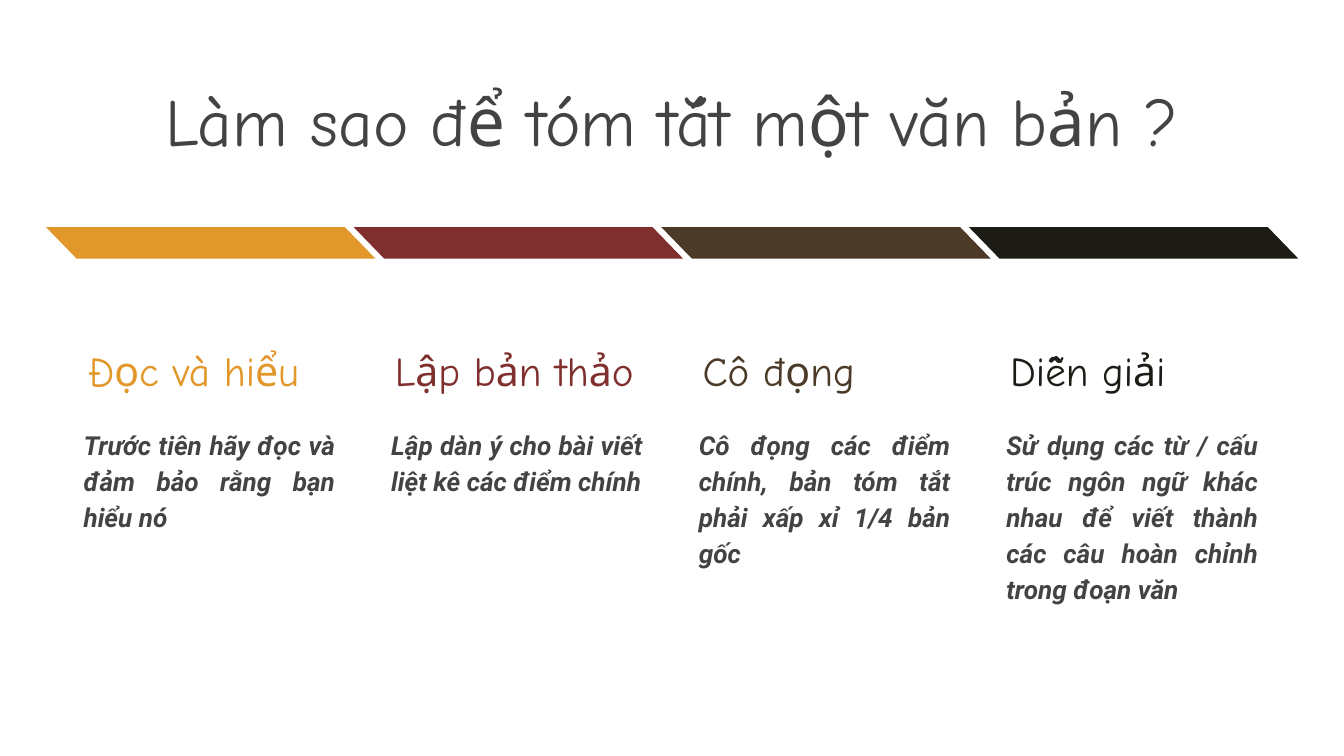
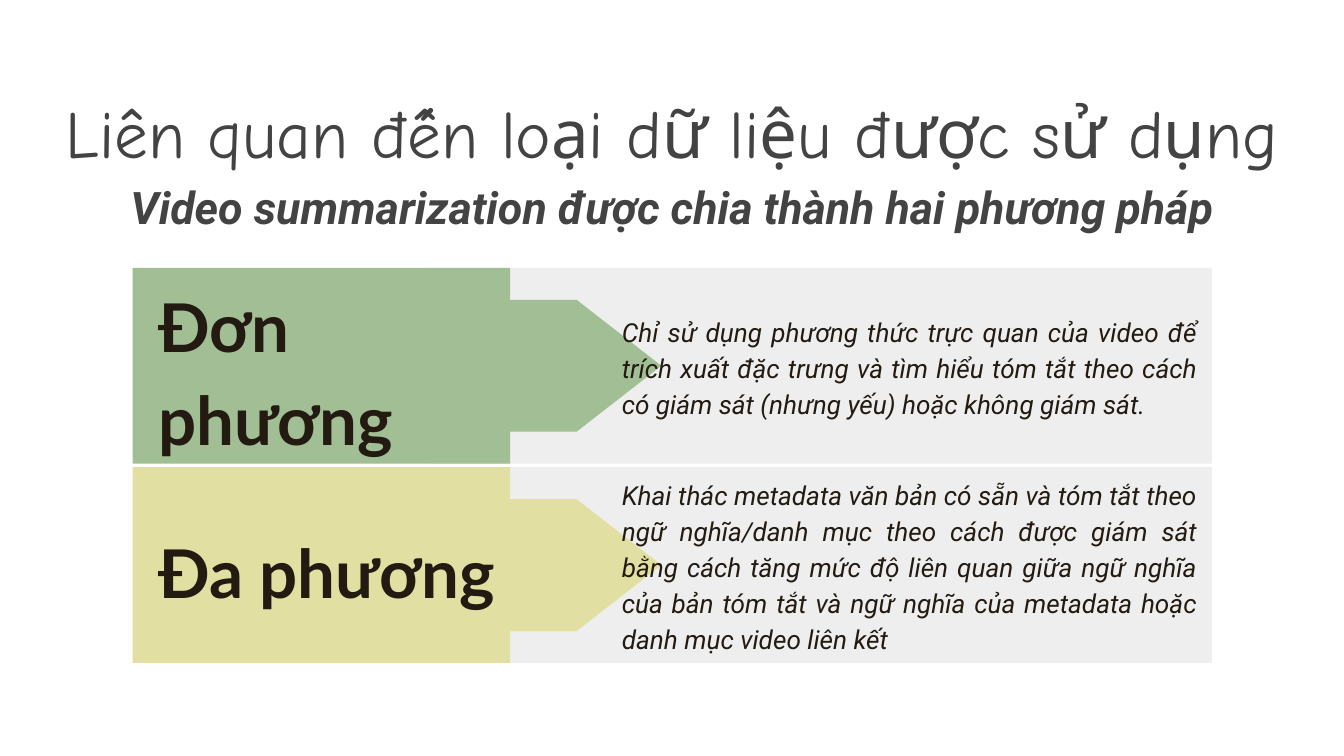
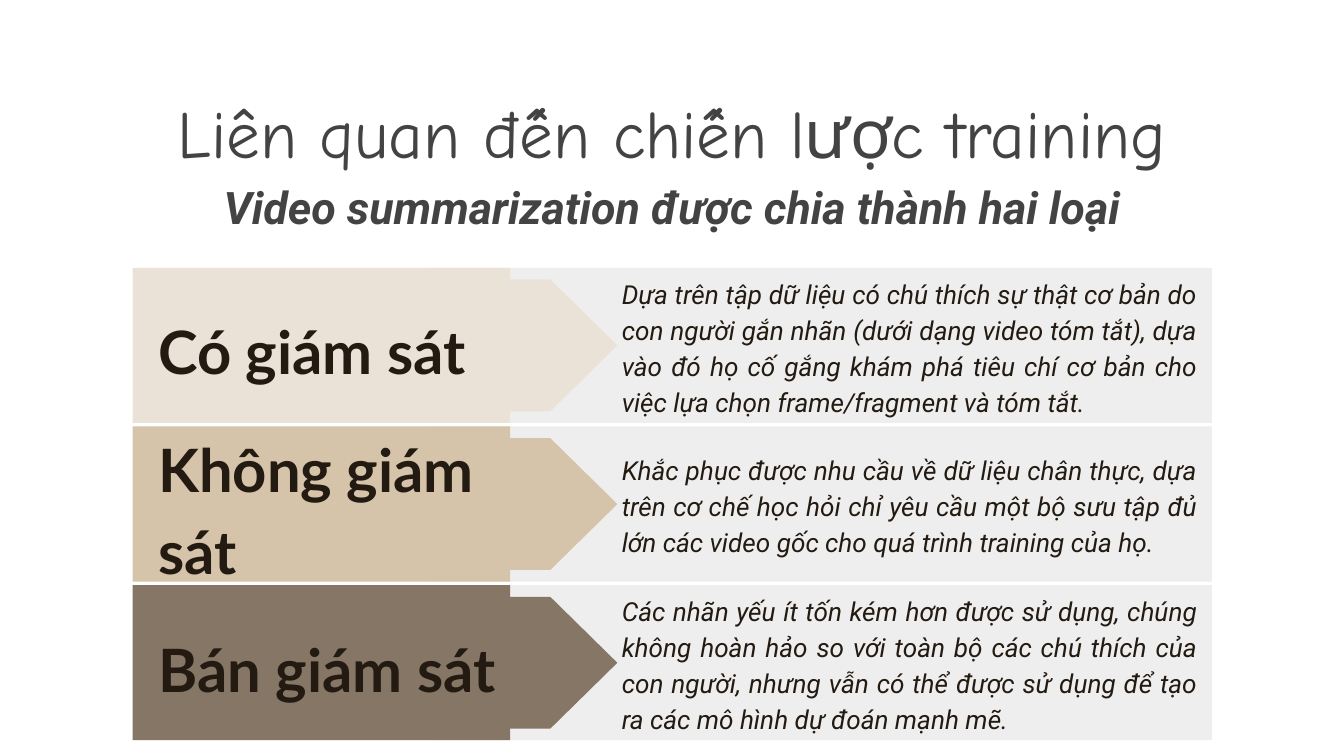
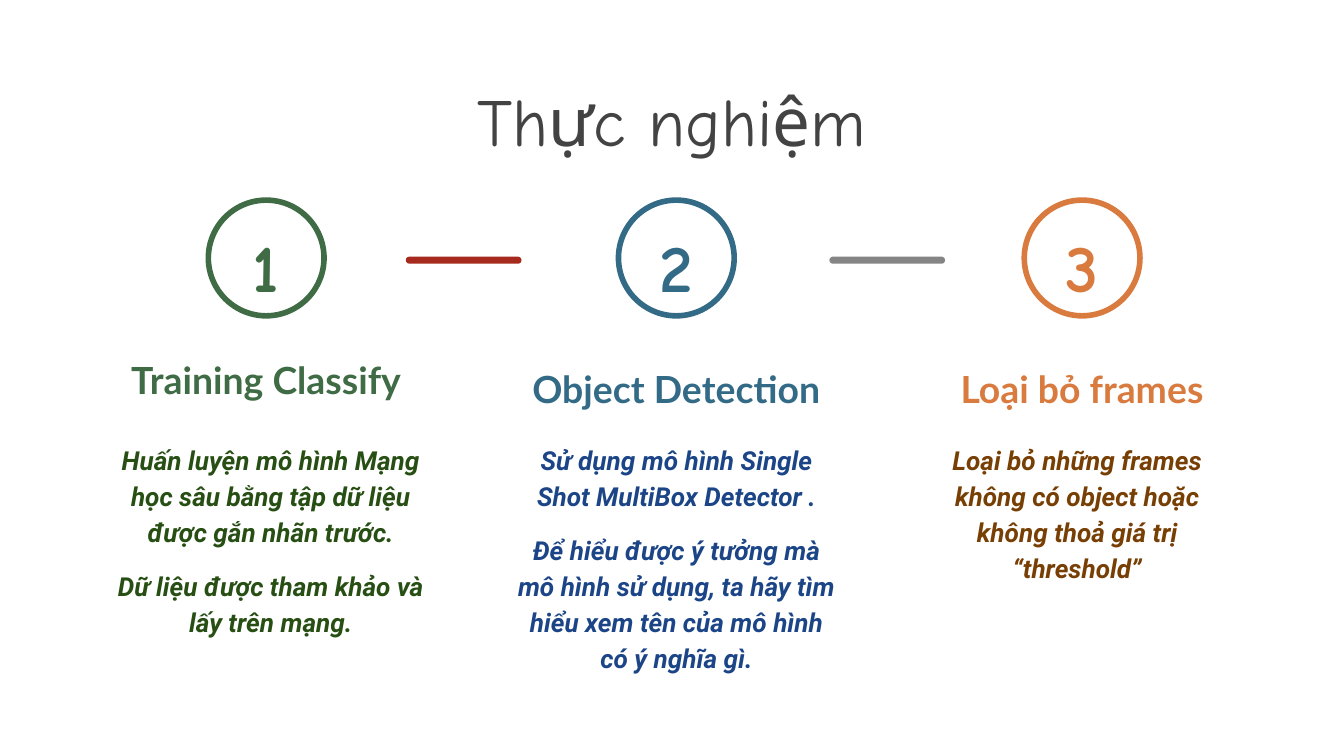
from pptx import Presentation
from pptx.dml.color import RGBColor
from pptx.enum import shapes, text
from pptx.util import Pt

COLORS = {
    "paper": "FFFFFF", "title": "434343", "ink": "231B12", "panel": "EEEEEE",
    "amber": "E2972A", "wine": "7F2F2E", "brown": "4B3A27", "black": "1D1B16",
    "sage": "A1BE95", "straw": "E2DFA2",
    "cream": "EAE2D6", "sand": "D5C3AA", "taupe": "867666",
    "green": "3F6C45", "blue": "336B87", "orange": "D97B3F",
    "dark green": "274E13", "dark blue": "1C4587", "dark orange": "783F04",
    "red": "A72A1E", "gray": "858585",
}
DISPLAY, LABEL, BODY = "Comic Neue", "Lato", "Roboto"
SHAPE, ALIGN, ANCHOR = shapes.MSO_SHAPE, text.PP_ALIGN, text.MSO_ANCHOR
TITLE_BOX = (24.5, 35.3, 671, 45.4)
LINE_SPACING = 1.15


def rgb(color):
    return RGBColor.from_string(COLORS[color])


# Shared building blocks
def add_figure(slide, kind, box, fill=None, line=None):
    figure = slide.shapes.add_shape(kind, *map(Pt, box))
    figure.shadow.inherit = False
    if fill:
        figure.fill.solid()
        figure.fill.fore_color.rgb = rgb(fill)
    else:
        figure.fill.background()
    if line:
        figure.line.color.rgb = rgb(line)
        figure.line.width = Pt(3)
    else:
        figure.line.fill.background()
    return figure


def style(wording, font, size, color, bold=False, italic=False):
    return wording, font, size, color, bold, italic


def add_text(slide, box, lines, align=ALIGN.LEFT, anchor=ANCHOR.TOP,
             spacing=LINE_SPACING, before=0, after=0, indent=0):
    """Write one styled run per paragraph; 'before' applies from the second one on."""
    frame = slide.shapes.add_textbox(*map(Pt, box)).text_frame
    frame.word_wrap = True
    frame.vertical_anchor = anchor
    frame.margin_left = frame.margin_right = Pt(7.2)
    frame.margin_top = frame.margin_bottom = Pt(7.2)
    for index, (wording, font, size, color, bold, italic) in enumerate(lines):
        paragraph = frame.add_paragraph() if index else frame.paragraphs[0]
        paragraph.alignment = align
        paragraph.line_spacing = spacing
        paragraph.space_before = Pt(before if index else 0)
        paragraph.space_after = Pt(after)
        if indent:
            paragraph._p.get_or_add_pPr().set("marL", str(Pt(indent)))
        run = paragraph.add_run()
        run.text = wording
        run.font.name, run.font.size = font, Pt(size)
        run.font.bold, run.font.italic = bold, italic
        run.font.color.rgb = rgb(color)


def new_slide(deck, title, subtitle=None):
    slide = deck.slides.add_slide(deck.slide_layouts[6])
    slide.background.fill.solid()
    slide.background.fill.fore_color.rgb = rgb("paper")
    lines = [style(title, DISPLAY, 36, "title")]
    if subtitle:
        lines.append(style(subtitle, BODY, 24, "title", True, True))
    add_text(slide, TITLE_BOX, lines, ALIGN.CENTER,
             spacing=LINE_SPACING if subtitle else 1.0)
    return slide


# Slide 1: four columns under a slanted band
def add_column(slide, left, top, color, heading, body):
    band = add_figure(slide, SHAPE.PARALLELOGRAM, (left, top, 176.4, 16.8), color)
    band.adjustments[0] = 0.97
    band._element.spPr.get_or_add_xfrm().set("flipH", "1")
    add_text(slide, (left + 15, top + 45.4, 144.7, 51.8),
             [style(heading, DISPLAY, 22, color)], anchor=ANCHOR.BOTTOM)
    add_text(slide, (left + 13, top + 98.6, 149, 86.4),
             [style(body, BODY, 14, "title", True, True)], ALIGN.JUSTIFY, after=16)


def build_summary_steps(deck):
    slide = new_slide(deck, "Làm sao để tóm tắt một văn bản ?")
    columns = [
        ("amber", "Đọc và hiểu", "Trước tiên hãy đọc và đảm bảo rằng bạn hiểu nó"),
        ("wine", "Lập bản thảo", "Lập dàn ý cho bài viết liệt kê các điểm chính"),
        ("brown", "Cô đọng",
         "Cô đọng các điểm chính, bản tóm tắt phải xấp xỉ 1/4 bản gốc"),
        ("black", "Diễn giải",
         "Sử dụng các từ / cấu trúc ngôn ngữ khác nhau để viết thành "
         "các câu hoàn chỉnh trong đoạn văn"),
    ]
    for index, column in enumerate(columns):
        add_column(slide, 24.7 + 164.8 * index, 121.7, *column)


# Slides 2 and 3: rows with a label, an arrow and an explanation
def add_method_row(slide, box, label_size, color, label, body):
    left, top, width, height = box
    middle = top + height / 2
    add_figure(slide, SHAPE.RECTANGLE, (left + 158.4, top, width - 158.4, height), "panel")
    add_figure(slide, SHAPE.RECTANGLE, (left, top, 202.3, height), color)
    breadth, reach = 70.6, 2.16 * height
    arrow = add_figure(slide, SHAPE.FLOWCHART_OFFPAGE_CONNECTOR,
                       (left + 170 - breadth / 2, middle - reach / 2, breadth, reach), color)
    arrow.rotation = 270
    label_height = 0.77 * height
    add_text(slide, (left + 6.7, middle - label_height / 2, 213, label_height),
             [style(label, LABEL, label_size, "ink", True)], anchor=ANCHOR.MIDDLE)
    add_text(slide, (left + 219, top, 358.6, height),
             [style(body, BODY, 14, "ink", italic=True)],
             ALIGN.JUSTIFY, ANCHOR.MIDDLE, indent=36)


def build_methods(deck, title, subtitle, row_height, label_size, rows):
    slide = new_slide(deck, title, subtitle)
    gap = 1.9
    for index, row in enumerate(rows):
        top = 143.5 + (row_height + gap) * index
        add_method_row(slide, (71, top, 578.2, row_height), label_size, *row)


# Slide 4: three numbered steps joined by bars
def add_step(slide, center, top, number, color, heading, anchor, body_color, body_box, body):
    add_figure(slide, SHAPE.OVAL, (center - 31, top, 62, 62), line=color)
    add_text(slide, (center - 22.7, top, 45.4, 62),
             [style(str(number), DISPLAY, 36, color, True)], ALIGN.CENTER, after=16)
    add_text(slide, (center - 89.3, top + 73.4, 178.6, 46.8),
             [style(heading, LABEL, 20, color, True)], ALIGN.CENTER, anchor)
    shift, width = body_box
    add_text(slide, (center + shift, top + 121, width, 77),
             [style(part, BODY, 14, body_color, True, True) for part in body],
             ALIGN.CENTER, before=10)


def build_experiment(deck):
    slide = new_slide(deck, "Thực nghiệm")
    steps = [
        (142.6, "green", "Training Classify", ANCHOR.TOP, "dark green", (-91.5, 188),
         ["Huấn luyện mô hình Mạng học sâu bằng tập dữ liệu được gắn nhãn trước.",
          "Dữ liệu được tham khảo và lấy trên mạng."]),
        (362.3, "blue", "Object Detection", ANCHOR.BOTTOM, "dark blue", (-93.8, 188),
         ["Sử dụng mô hình Single Shot MultiBox Detector .",
          "Để hiểu được ý tưởng mà mô hình sử dụng, ta hãy tìm hiểu xem "
          "tên của mô hình có ý nghĩa gì."]),
        (579.7, "orange", "Loại bỏ frames", ANCHOR.BOTTOM, "dark orange", (-94.4, 183.6),
         ["Loại bỏ những frames không có object hoặc không thoả giá trị “threshold”"]),
    ]
    for number, (center, *details) in enumerate(steps, start=1):
        add_step(slide, center, 107.2, number, *details)
    for left, color in ((217.4, "red"), (444.3, "gray")):
        bar = add_figure(slide, SHAPE.ROUNDED_RECTANGLE, (left, 137.5, 62, 3.8), color)
        bar.adjustments[0] = 0.5


def main():
    deck = Presentation()
    deck.slide_width, deck.slide_height = Pt(720), Pt(405)
    build_summary_steps(deck)
    build_methods(
        deck, "Liên quan đến loại dữ liệu được sử dụng",
        "Video summarization được chia thành hai phương pháp", 104.9, 36, [
            ("sage", "Đơn phương",
             "Chỉ sử dụng phương thức trực quan của video để trích xuất đặc trưng và "
             "tìm hiểu tóm tắt theo cách có giám sát (nhưng yếu) hoặc không giám sát."),
            ("straw", "Đa phương",
             "Khai thác metadata văn bản có sẵn và tóm tắt theo ngữ nghĩa/danh mục theo "
             "cách được giám sát bằng cách tăng mức độ liên quan giữa ngữ nghĩa của bản "
             "tóm tắt và ngữ nghĩa của metadata hoặc danh mục video liên kết"),
        ])
    build_methods(
        deck, "Liên quan đến chiến lược training",
        "Video summarization được chia thành hai loại", 83.1, 32, [
            ("cream", "Có giám sát",
             "Dựa trên tập dữ liệu có chú thích sự thật cơ bản do con người gắn nhãn "
             "(dưới dạng video tóm tắt), dựa vào đó họ cố gắng khám phá tiêu chí cơ bản "
             "cho việc lựa chọn frame/fragment và tóm tắt."),
            ("sand", "Không giám sát",
             "Khắc phục được nhu cầu về dữ liệu chân thực, dựa trên cơ chế học hỏi chỉ "
             "yêu cầu một bộ sưu tập đủ lớn các video gốc cho quá trình training của họ."),
            ("taupe", "Bán giám sát",
             "Các nhãn yếu ít tốn kém hơn được sử dụng, chúng không hoàn hảo so với toàn "
             "bộ các chú thích của con người, nhưng vẫn có thể được sử dụng để tạo ra "
             "các mô hình dự đoán mạnh mẽ."),
        ])
    build_experiment(deck)
    deck.save("out.pptx")


if __name__ == "__main__":
    main()
